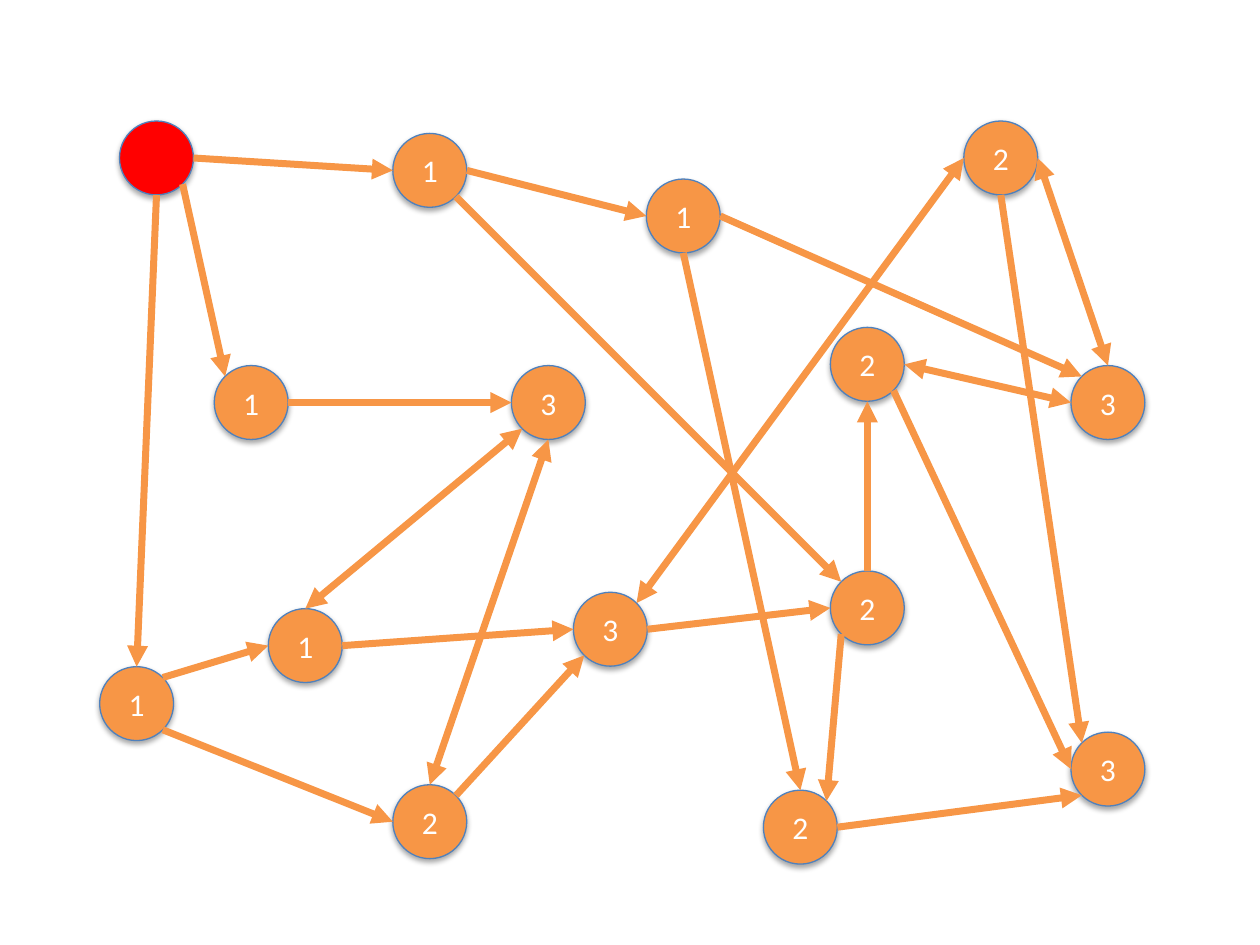
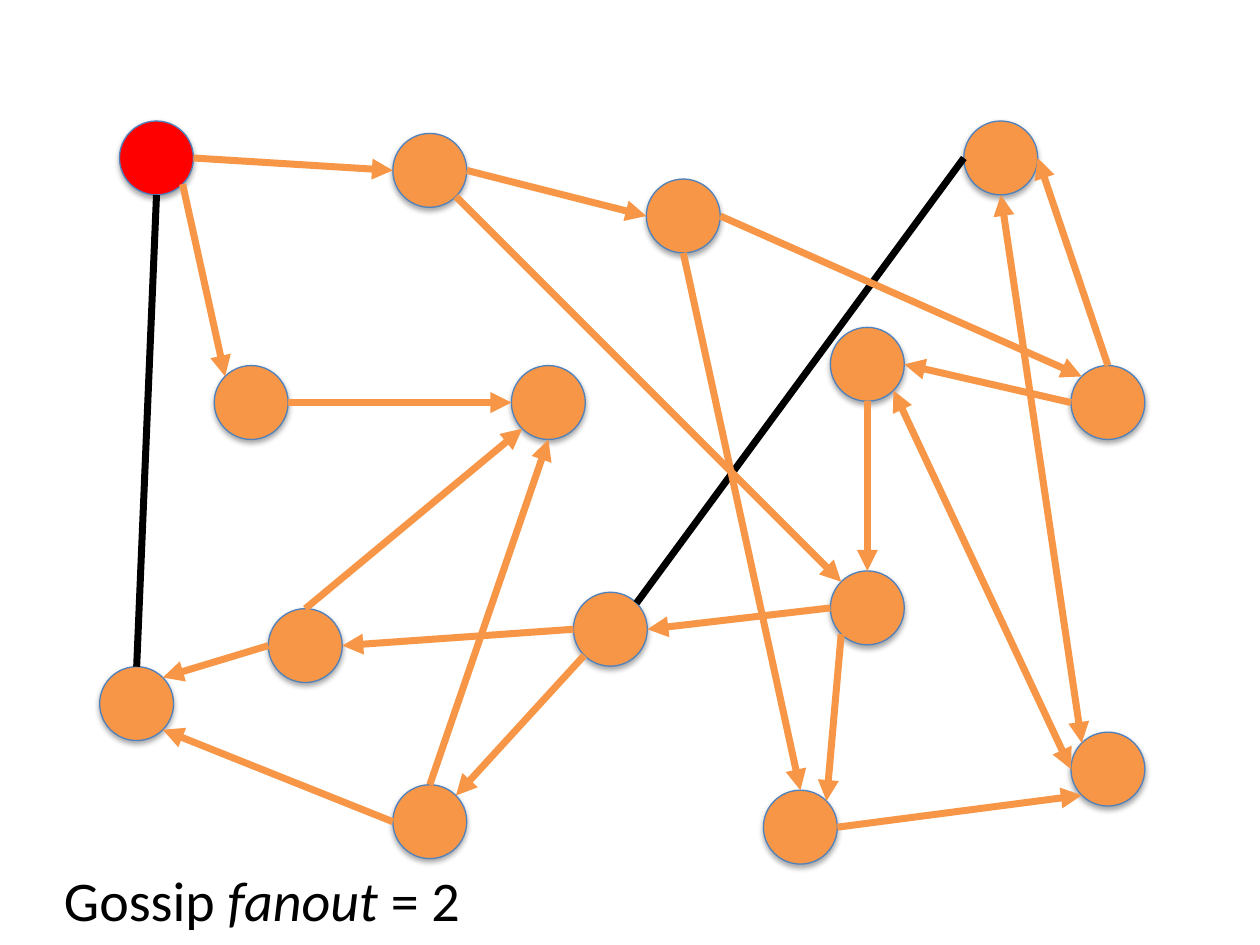
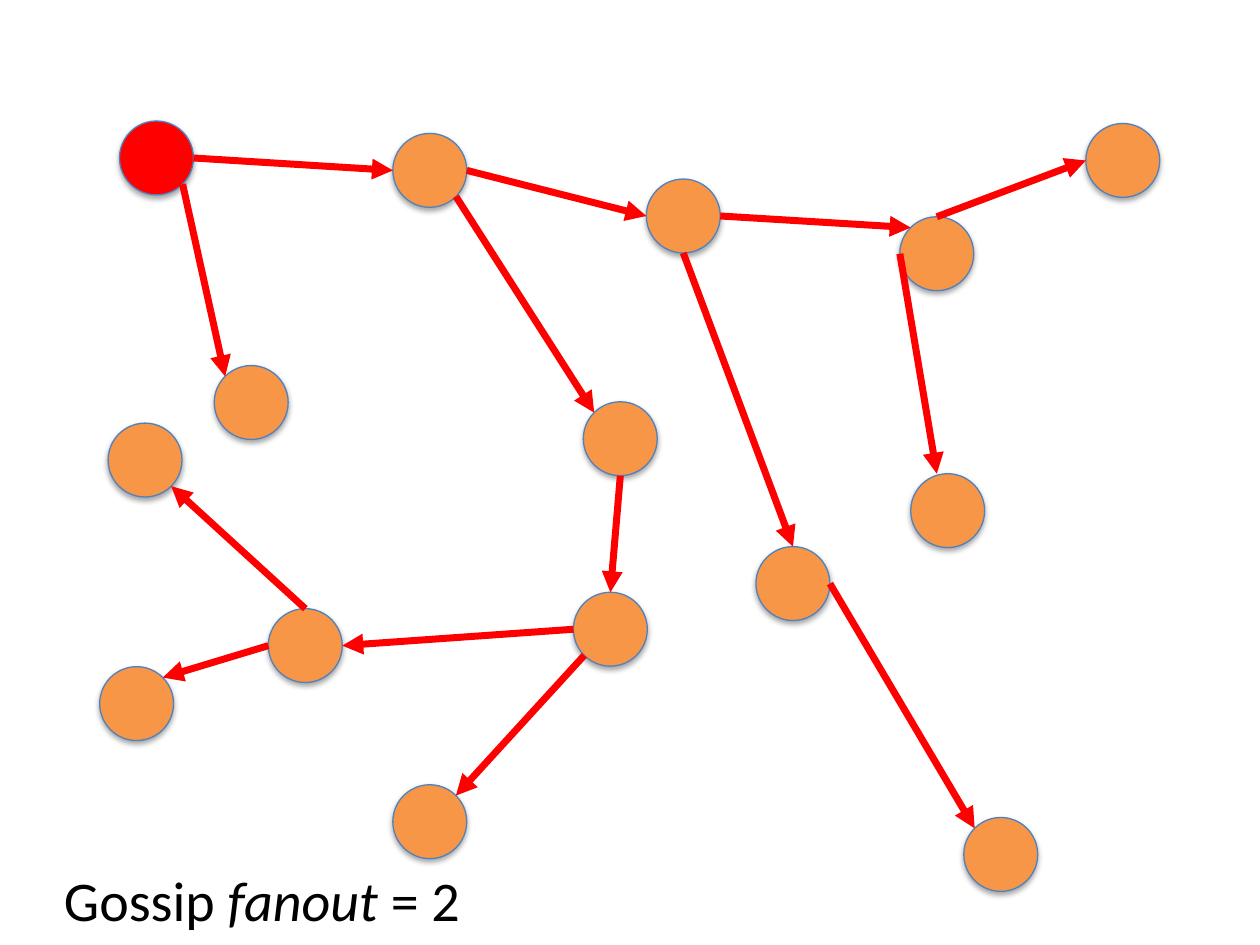
from dataclasses import dataclass
from math import sqrt
from typing import Any

from lxml.etree import SubElement
from pptx import Presentation
from pptx.dml.color import RGBColor
from pptx.enum.shapes import MSO_CONNECTOR as Connector, MSO_SHAPE as Preset
from pptx.enum.text import MSO_ANCHOR as Anchor, MSO_AUTO_SIZE as AutoSize, PP_ALIGN as Align
from pptx.oxml.ns import qn
from pptx.slide import Slide
from pptx.util import Cm, Pt

COLORS = {
    "source": "FF0000",
    "peer": "F79646",
    "outline": "4F81BD",
    "broken": "000000",
    "label": "FFFFFF",
    "caption": "000000",
    "shadow": "000000",
}
LABEL_FONT = {"name": "Calibri", "size": Pt(18)}
CAPTION_FONT = {"name": "Calibri", "size": Pt(32)}
CAPTION_FRAME = {"word_wrap": True, "auto_size": AutoSize.SHAPE_TO_FIT_TEXT}
SHADOW = {"blurRad": "40000", "dist": "23000", "dir": "5400000", "rotWithShape": "0"}
DIAMETER = 1.49
DIAGONAL = 1 / sqrt(2)
SITES = {
    "n": (0, -1), "ne": (DIAGONAL, -DIAGONAL), "e": (1, 0), "se": (DIAGONAL, DIAGONAL),
    "s": (0, 1), "sw": (-DIAGONAL, DIAGONAL), "w": (-1, 0), "nw": (-DIAGONAL, -DIAGONAL),
}


@dataclass(frozen=True)
class Node:
    left: float
    top: float
    label: str = ""
    color: str = "peer"

    def site(self, name: str) -> tuple[float, float]:
        radius = DIAMETER / 2
        across, down = SITES[name]
        return self.left + radius * (1 + across), self.top + radius * (1 + down)


@dataclass(frozen=True)
class Link:
    start: str
    end: str
    flow: str = "->"
    color: str = "peer"
    end_shift: float = 0


MESH_NODES = {
    "S": Node(2.41, 2.44, color="source"),
    "A": Node(7.92, 2.69, "1"),
    "B": Node(4.32, 7.37, "1"),
    "C": Node(13.03, 3.61, "1"),
    "D": Node(10.31, 7.37, "3"),
    "E": Node(5.41, 12.27, "1"),
    "F": Node(11.56, 11.94, "3"),
    "G": Node(16.74, 6.6, "2"),
    "H": Node(19.43, 2.44, "2"),
    "I": Node(21.59, 7.37, "3"),
    "J": Node(16.74, 11.51, "2"),
    "K": Node(21.59, 14.76, "3"),
    "L": Node(15.39, 15.93, "2"),
    "M": Node(7.92, 15.82, "2"),
    "N": Node(2.01, 13.44, "1"),
}
TREE_NODES = MESH_NODES | {
    "D": Node(2.18, 8.53),
    "G": Node(18.36, 9.55),
    "H": Node(21.89, 2.49),
    "I": Node(18.14, 4.37),
    "J": Node(11.76, 8.1),
    "K": Node(19.43, 16.48),
    "L": Node(15.24, 11.02),
}
MESH_FLOWS = [
    ("S s", "N n", "->", "-"),
    ("N se", "M w", "->", "<-"),
    ("N ne", "E w", "->", "<-"),
    ("E e", "F w", "->", "<-"),
    ("F e", "J w", "->", "<-"),
    ("M ne", "F sw", "->", "<-"),
    ("M n", "D s", "<->", "->"),
    ("A e", "C w", "->", "->"),
    ("S e", "A w", "->", "->"),
    ("S se", "B nw", "->", "->"),
    ("B e", "D w", "->", "->"),
    ("E n", "D sw", "<->", "->"),
    ("H s", "K nw", "->", "<->"),
    ("F ne", "H w", "<->", "-"),
    ("A se", "J nw", "->", "->"),
    ("C s", "L n", "->", "->"),
    ("C e", "I nw", "->", "->"),
    ("I n", "H e", "<->", "->"),
    ("G se", "K w", "->", "<->"),
    ("J sw", "L ne", "->", "->"),
    ("L e", "K sw", "->", "->"),
    ("J n", "G s", "->", "<-"),
    ("I w", "G e", "<->", "->"),
]
TREE_LINKS = [
    Link("E w", "N ne", color="source"),
    Link("F w", "E e", color="source"),
    Link("J s", "F n", color="source"),
    Link("F sw", "M ne", color="source"),
    Link("A e", "C w", color="source"),
    Link("S e", "A w", color="source"),
    Link("S se", "B nw", color="source"),
    Link("E n", "D se", color="source"),
    Link("A se", "J nw", color="source"),
    Link("C s", "L n", color="source"),
    Link("C e", "I nw", color="source"),
    Link("I n", "H w", color="source"),
    Link("L e", "K nw", color="source"),
    Link("I w", "G n", color="source", end_shift=-0.22),
]


def apply(target: Any, values: dict[str, Any]) -> None:
    for name, value in values.items():
        setattr(target, name, value)


def rgb(name: str) -> RGBColor:
    return RGBColor.from_string(COLORS[name])


def add_node(slide: Slide, node: Node, labelled: bool) -> None:
    shape = slide.shapes.add_shape(
        Preset.OVAL, Cm(node.left), Cm(node.top), Cm(DIAMETER), Cm(DIAMETER)
    )
    shape.fill.solid()
    shape.fill.fore_color.rgb = rgb(node.color)
    shape.line.color.rgb = rgb("outline")
    shape.line.width = Pt(0.75)
    shape.shadow.inherit = False
    effects = shape.element.spPr.find(qn("a:effectLst"))
    shadow = SubElement(effects, qn("a:outerShdw"), SHADOW)
    color = SubElement(shadow, qn("a:srgbClr"), val=COLORS["shadow"])
    SubElement(color, qn("a:alpha"), val="35000")
    if labelled and node.label:
        shape.text_frame.vertical_anchor = Anchor.MIDDLE
        paragraph = shape.text_frame.paragraphs[0]
        paragraph.alignment = Align.CENTER
        run = paragraph.add_run()
        run.text = node.label
        apply(run.font, LABEL_FONT)
        run.font.color.rgb = rgb("label")


def add_link(slide: Slide, nodes: dict[str, Node], link: Link) -> None:
    start, start_site = link.start.split()
    end, end_site = link.end.split()
    start_x, start_y = nodes[start].site(start_site)
    end_x, end_y = nodes[end].site(end_site)
    connector = slide.shapes.add_connector(
        Connector.STRAIGHT, Cm(start_x), Cm(start_y), Cm(end_x + link.end_shift), Cm(end_y)
    )
    connector.line.color.rgb = rgb(link.color)
    connector.line.width = Pt(4)
    properties = connector.element.spPr
    line = properties.find(qn("a:ln"))
    if link.flow.startswith("<"):
        SubElement(line, qn("a:headEnd"), type="triangle")
    if link.flow.endswith(">"):
        SubElement(line, qn("a:tailEnd"), type="triangle")
    SubElement(properties, qn("a:effectLst"))


def add_caption(slide: Slide) -> None:
    shape = slide.shapes.add_textbox(Cm(1.04), Cm(17.32), Cm(10.82), Cm(1.63))
    apply(shape.text_frame, CAPTION_FRAME)
    paragraph = shape.text_frame.paragraphs[0]
    for text, italic in (("Gossip ", False), ("fanout", True), (" = 2", False)):
        run = paragraph.add_run()
        run.text = text
        apply(run.font, CAPTION_FONT | {"italic": italic})
        run.font.color.rgb = rgb("caption")


def add_network(
    presentation: Any, nodes: dict[str, Node], links: list[Link], labelled: bool = False
) -> None:
    slide = presentation.slides.add_slide(presentation.slide_layouts[6])
    for node in nodes.values():
        add_node(slide, node, labelled)
    for link in links:
        add_link(slide, nodes, link)
    if not labelled:
        add_caption(slide)


def main() -> None:
    presentation = Presentation()
    apply(presentation, {"slide_width": Cm(25.4), "slide_height": Cm(19.05)})
    spread = [Link(start, end, flow) for start, end, flow, _ in MESH_FLOWS]
    repaired = [
        Link(start, end, flow, "broken" if flow == "-" else "peer")
        for start, end, _, flow in MESH_FLOWS
    ]
    add_network(presentation, MESH_NODES, spread, labelled=True)
    add_network(presentation, MESH_NODES, repaired)
    add_network(presentation, TREE_NODES, TREE_LINKS)
    presentation.save("out.pptx")


if __name__ == "__main__":
    main()
